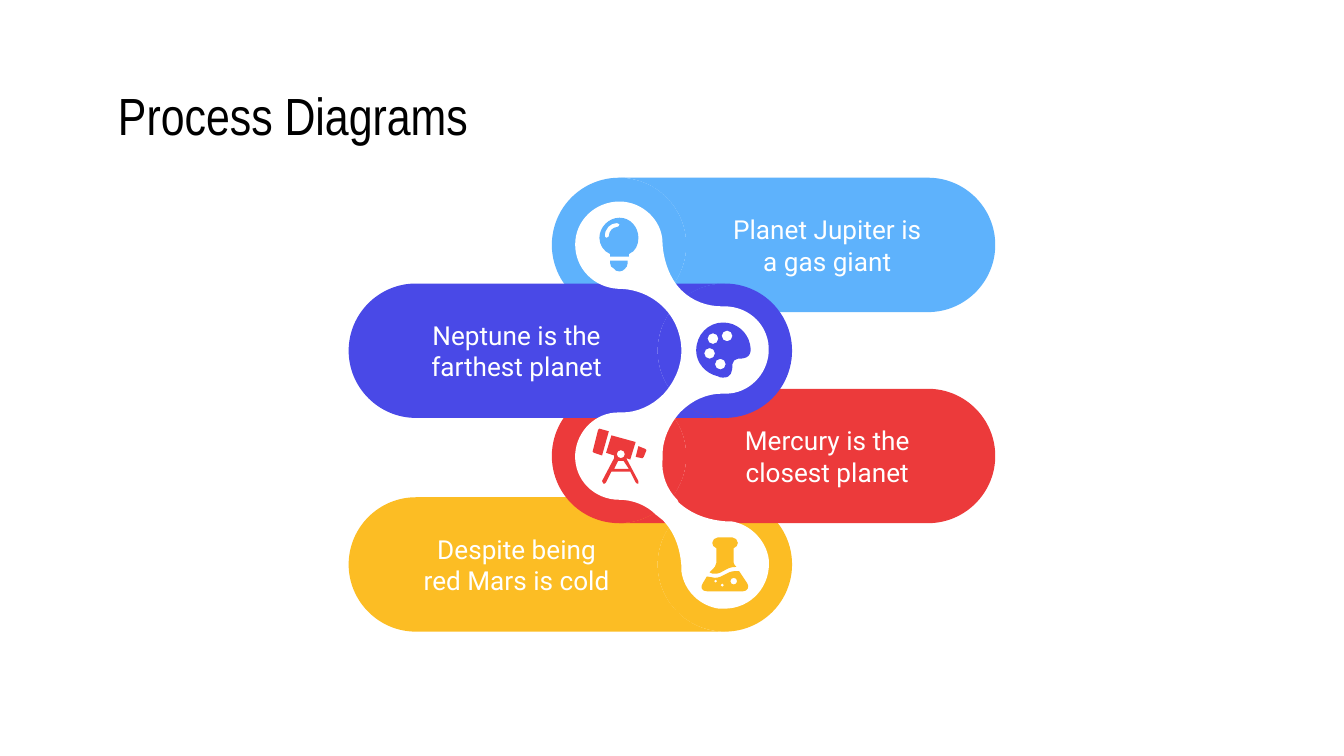
from dataclasses import dataclass

from pptx import Presentation
from pptx.dml.color import RGBColor
from pptx.enum.shapes import MSO_SHAPE
from pptx.enum.text import MSO_ANCHOR, MSO_AUTO_SIZE, PP_ALIGN
from pptx.oxml.ns import qn
from pptx.util import Cm, Pt


@dataclass
class Theme:
    sky: RGBColor = RGBColor.from_string("5EB2FC")
    indigo: RGBColor = RGBColor.from_string("4949E7")
    red: RGBColor = RGBColor.from_string("EC3A3B")
    amber: RGBColor = RGBColor.from_string("FCBD24")
    white: RGBColor = RGBColor.from_string("FFFFFF")
    black: RGBColor = RGBColor.from_string("000000")
    title_font: str = "Arial Narrow"
    body_font: str = "Roboto"
    title_size: Pt = Pt(28)
    body_size: Pt = Pt(14)


theme = Theme()
GRID = Cm(2.54) / 100  # step of the icon and chain coordinates
ARC = 0.55  # control length of a quarter circle, in radii
ARGUMENTS = {"M": 2, "L": 2, "C": 6, "O": 3}


def trace(path, unit):
    """Turn M, L, C (cubic curve) and O (circle: centre, radius) into contours of segments."""
    contours, tokens, command = [], path.split(), None
    while tokens:
        if tokens[0] in ARGUMENTS:
            command = tokens.pop(0)
        count = ARGUMENTS[command]
        v = [float(t) * unit for t in tokens[:count]]
        tokens = tokens[count:]
        if command == "M":
            contours.append([[tuple(v)]])
        elif command == "O":
            x, y, radius = v
            contours.append([[(x + radius, y)]])
            for c, d in ((1, 0), (0, 1), (-1, 0), (0, -1)):
                steps = ((c - ARC * d, d + ARC * c), (ARC * c - d, ARC * d + c), (-d, c))
                contours[-1].append([(x + radius * a, y + radius * b) for a, b in steps])
        else:
            contours[-1].append(list(zip(v[::2], v[1::2])))
    return contours


def add_outline(shapes, contours, color):
    """Draw closed contours as one filled shape; inner contours become holes."""
    builder = shapes.build_freeform(*contours[0][0][0], scale=1.0)
    for i, (start, *segments) in enumerate(contours):
        if i:
            builder.move_to(*start[0])
        builder.add_line_segments([point for segment in segments for point in segment])
    sp = builder.convert_to_shape()
    # Each run of three lines through control points becomes one cubic curve
    lines = iter(list(sp._element.iter(qn("a:lnTo"))))
    for _, *segments in contours:
        for segment in segments:
            first, *others = [next(lines) for _ in segment]
            if others:
                first.tag = qn("a:cubicBezTo")
            for line in others:
                first.append(line[0])
                line.getparent().remove(line)
    sp.shadow.inherit = False
    sp.fill.solid()
    sp.fill.fore_color.rgb = color
    sp.line.fill.background()
    return sp


prs = Presentation()
prs.slide_width, prs.slide_height = Cm(25.4), Cm(14.29)
s = prs.slides.add_slide(prs.slide_layouts[5])

# Title
title = s.shapes.title
title.left, title.top, title.width, title.height = Cm(1.98), Cm(1.5), Cm(21.46), Cm(1.35)
tf = title.text_frame
tf.text = "Process Diagrams"
tf.auto_size = MSO_AUTO_SIZE.NONE
tf.vertical_anchor = MSO_ANCHOR.MIDDLE
tf.margin_left = tf.margin_right = tf.margin_top = tf.margin_bottom = Cm(0.25)
p = tf.paragraphs[0]
p.alignment = PP_ALIGN.LEFT
font = p.runs[0].font
font.name, font.size, font.color.rgb = theme.title_font, theme.title_size, theme.black

# Bands, back to front: each runs to one side of its hub (lengths in cm)
RADIUS, REACH = 1.27, 5.84
HUB_X = {1: 11.7, -1: 13.7}
bands = [
    ("Despite being red Mars is cold", -1, 10.67, theme.amber),
    ("Mercury is the closest planet", 1, 8.62, theme.red),
    ("Planet Jupiter is a gas giant", 1, 4.63, theme.sky),
    ("Neptune is the farthest planet", -1, 6.63, theme.indigo),
]
for text, direction, y, color in bands:
    x = HUB_X[direction]
    far = x + direction * REACH
    top, bottom = y - RADIUS, y + RADIUS
    upper, lower = y - ARC * RADIUS, y + ARC * RADIUS
    bulge, bend = direction * RADIUS, direction * ARC * RADIUS
    outline = f"""
    M {x} {top} C {x + bend} {top} {x + bulge} {upper} {x + bulge} {y}
    {x + bulge} {lower} {x + bend} {bottom} {x} {bottom} L {far} {bottom}
    C {far + bend} {bottom} {far + bulge} {lower} {far + bulge} {y}
    {far + bulge} {upper} {far + bend} {top} {far} {top}
    """
    group = s.shapes.add_group_shape()
    band = add_outline(group.shapes, trace(outline, Cm(1)), color)
    tf = band.text_frame
    tf.text = text
    tf.word_wrap = True
    tf.vertical_anchor = MSO_ANCHOR.MIDDLE
    tf.margin_top = tf.margin_bottom = Cm(0.25)
    margins = (Cm(2.03), Cm(1.27))
    tf.margin_left, tf.margin_right = margins[::direction]
    p = tf.paragraphs[0]
    p.alignment = PP_ALIGN.CENTER
    font = p.runs[0].font
    font.name, font.size, font.color.rgb = theme.body_font, theme.body_size, theme.white

    hub = group.shapes.add_shape(MSO_SHAPE.OVAL, Cm(x - RADIUS), Cm(top),
                                 Cm(2 * RADIUS), Cm(2 * RADIUS))
    hub.shadow.inherit = False
    hub.fill.solid()
    hub.fill.fore_color.rgb = color
    hub.line.fill.background()

# White chain that links the four hubs
chain = """
M 461 150 C 443 150 428 164 428 182 428 200 442 214 460 215 473 215 485 220 494 229
502 237 507 249 507 261 507 273 502 284 494 293 L 493 294
C 485 302 474 307 463 307 L 460 307 C 443 307 429 321 428 338 427 357 442 372 461 372
471 372 481 376 488 383 L 493 387 C 502 396 506 408 507 421 L 507 425
C 509 440 521 451 535 453 L 539 453 C 559 453 574 436 572 416 570 402 558 390 544 388
L 540 388 C 527 387 515 383 505 374 L 504 372 C 496 364 492 353 493 342 L 493 339
C 493 327 498 316 506 307 L 507 306 C 515 298 526 293 537 293 L 540 293
C 557 293 571 279 572 262 573 243 558 228 539 228 L 537 228
C 526 228 515 224 507 216 498 207 494 194 493 182 L 493 181 C 493 164 478 150 461 150
"""
add_outline(s.shapes, trace(chain, GRID), theme.white)

# Icons: colour and the outlines of their parts
flask = [
    """M 547 425 C 541 425 538 430 532 430 530 430 528 429 526 429 L 523 434
    C 521 437 522 440 526 440 L 553 440 C 556 440 558 437 556 434 L 550 425 547 425
    O 532.5 432.5 1.2 546 432.5 2.5 537.5 435.5 1.3""",
    """M 534 400 C 532 400 530 402 530 404 530 406 531 407 533 408 L 533 419
    C 533 421 532 422 528 426 529 427 531 427 532 427 538 427 540 422 547 422 L 548 422
    C 547 421 546 420 546 419 L 546 408 C 548 407 549 406 549 404 549 402 547 400 545 400""",
]
bulb = [
    """M 459 166 C 460 166 461 167 461 167 461 168 460 169 459 169 456 169 453 172 453 176
    453 176 452 177 451 177 451 177 450 176 450 176 450 170 454 166 459 166
    M 461 162 C 453 162 446 169 446 177 446 182 449 187 454 189 L 454 191 468 191 468 189
    C 473 187 475 182 475 177 475 169 469 162 461 162""",
    """M 454 194 L 454 196 C 454 198 455 199 457 200 457 201 459 202 461 202
    463 202 464 201 465 200 466 199 467 198 467 196 L 467 194""",
]
palette = [
    """M 538 240 C 527 240 518 249 518 261 518 270 525 278 534 280 535 281 537 281 538 281
    544 281 545 277 545 271 545 269 547 267 549 267 556 267 560 265 558 256
    556 247 548 240 538 240 O 541 250 4 530.5 252 4 528 263 4 536 271 4""",
]
telescope = [
    "M 446 319 L 445 320 441 336 442 337 448 339 453 321",
    """M 455 324 L 451 337 457 339 457 341 448 358 449 360 450 360 451 359 455 351
    469 351 473 359 474 360 475 360 475 358 466 341 469 342 473 329
    O 462 338 3 M 464 343 L 468 349 457 349 460 343""",
    "M 475 332 L 473 340 478 341 479 340 481 335 480 334",
]
for color, parts in ((theme.amber, flask), (theme.sky, bulb),
                     (theme.indigo, palette), (theme.red, telescope)):
    shapes = s.shapes.add_group_shape().shapes if len(parts) > 1 else s.shapes
    for part in parts:
        add_outline(shapes, trace(part, GRID), color)

prs.save("out.pptx")
